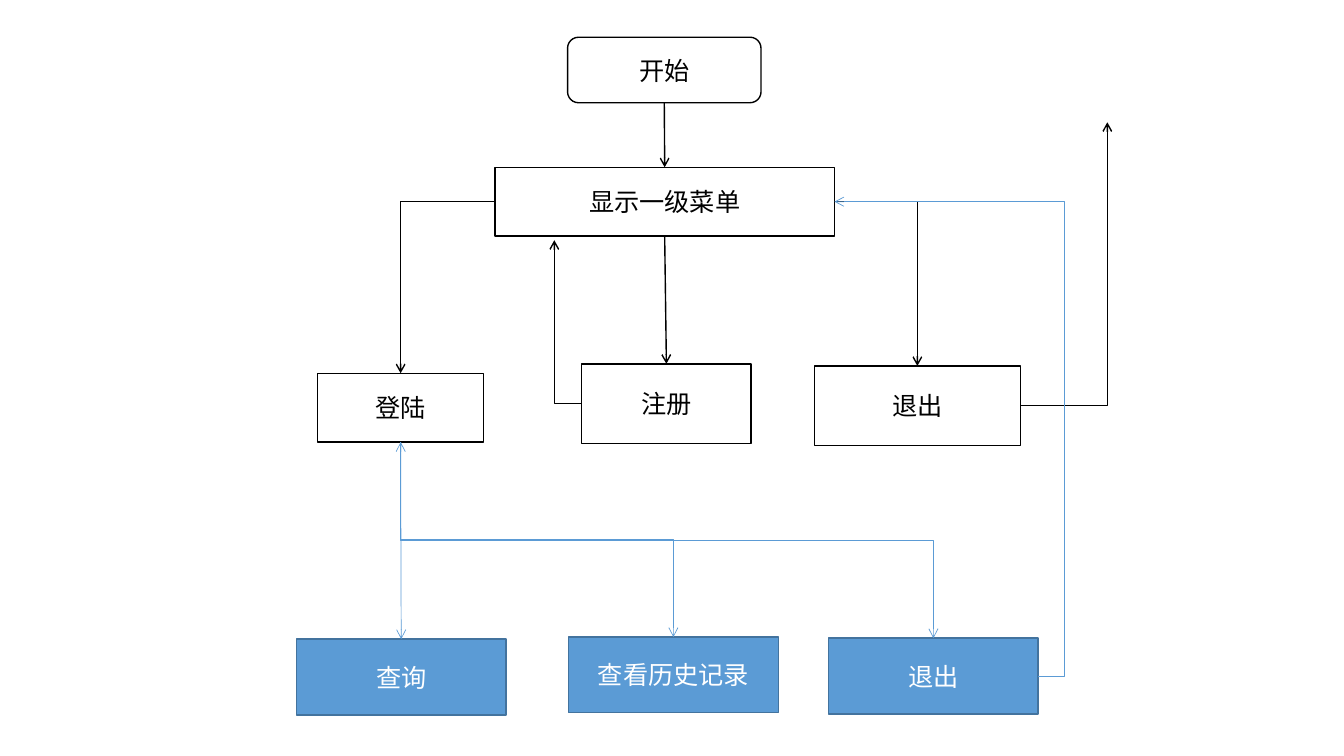
from collections import namedtuple

from lxml.etree import SubElement
from pptx import Presentation
from pptx.dml.color import RGBColor
from pptx.enum.shapes import MSO_CONNECTOR, MSO_SHAPE
from pptx.enum.text import MSO_ANCHOR, PP_ALIGN
from pptx.oxml.ns import qn
from pptx.util import Pt

COLORS = {
    "white": "FFFFFF",
    "black": "000000",
    "blue": "5B9BD5",
    "blue_edge": "43739E",
}
TOP, LEFT, BOTTOM, RIGHT = range(4)
Box = namedtuple("Box", "left top width height")
Style = namedtuple("Style", "fill edge text")
PLAIN = Style("white", "black", "black")
FILLED = Style("blue", "blue_edge", "white")
FONT = {"name": "Calibri", "size": Pt(18)}


def color(name):
    return RGBColor.from_string(COLORS[name])


def add_step(page, box, text, style=PLAIN, kind=MSO_SHAPE.RECTANGLE):
    """Draw one labelled step of the flow."""
    step = page.shapes.add_shape(kind, *(Pt(length) for length in box))
    step.shadow.inherit = False
    step.fill.solid()
    step.fill.fore_color.rgb = color(style.fill)
    step.line.color.rgb = color(style.edge)
    step.line.width = Pt(1)
    step.text_frame.vertical_anchor = MSO_ANCHOR.MIDDLE
    para = step.text_frame.paragraphs[0]
    para.alignment = PP_ALIGN.CENTER
    span = para.add_run()
    span.text = text
    for name, value in FONT.items():
        setattr(span.font, name, value)
    span.font.color.rgb = color(style.text)
    return step


def side(step, index):
    """Return the middle of one side of a step."""
    middle_x = step.left + step.width // 2
    middle_y = step.top + step.height // 2
    return {
        TOP: (middle_x, step.top),
        LEFT: (step.left, middle_y),
        BOTTOM: (middle_x, step.top + step.height),
        RIGHT: (step.left + step.width, middle_y),
    }[index]


def add_arrow(page, kind, start, end, line_color, width, ends=("tailEnd",)):
    arrow = page.shapes.add_connector(kind, *start, *end)
    arrow.line.color.rgb = color(line_color)
    arrow.line.width = Pt(width)
    line = arrow.line._get_or_add_ln()
    for name in ends:
        SubElement(line, qn(f"a:{name}"), type="arrow")
    SubElement(arrow._element.spPr, qn("a:effectLst"))
    return arrow


def add_drop(page, upper, lower, line_color="black", width=1):
    """Join two steps, one below the other, with a straight arrow."""
    arrow = add_arrow(page, MSO_CONNECTOR.STRAIGHT, side(upper, BOTTOM),
                      side(lower, TOP), line_color, width)
    arrow.begin_connect(upper, BOTTOM)
    arrow.end_connect(lower, TOP)


def add_corner(page, start, end):
    """Draw an arrow that runs sideways, then turns once."""
    arrow = add_arrow(page, MSO_CONNECTOR.ELBOW, start, end, "black", 1)
    arrow._element.spPr.find(qn("a:prstGeom")).set("prst", "bentConnector2")


def add_branch(page, start, end, ends):
    """Draw an arrow that runs down, across and down again."""
    (x1, y1), (x2, y2) = start, end
    middle_x, middle_y = (x1 + x2) // 2, (y1 + y2) // 2
    half_run, half_drop = (x2 - x1) // 2, (y2 - y1) // 2
    arrow = add_arrow(page, MSO_CONNECTOR.ELBOW,
                      (middle_x - half_drop, middle_y + half_run),
                      (middle_x + half_drop, middle_y - half_run),
                      "blue", 0.5, ends)
    arrow._element.spPr.find(qn("a:xfrm")).set("rot", str(90 * 60000))


def add_return(page, start, end, overhang):
    """Draw an arrow that leaves to the right and comes back to the left."""
    arrow = add_arrow(page, MSO_CONNECTOR.ELBOW, start, end, "blue", 0.5)
    bend = round(-100000 * overhang / (start[0] - end[0]))
    geometry = arrow._element.spPr.find(qn("a:prstGeom"))
    SubElement(geometry.find(qn("a:avLst")), qn("a:gd"),
               name="adj1", fmla=f"val {bend}")


def add_main_menu(page, box):
    """Place the upper flow and return its menu and login steps."""
    def place(left, top, width, height):
        return Box(box.left + left, box.top + top, width, height)

    start = add_step(page, place(178.6, 0, 138.2, 46.8), "开始",
                     kind=MSO_SHAPE.ROUNDED_RECTANGLE)
    menu = add_step(page, place(126.7, 92.9, 242.6, 49.2), "显示一级菜单")
    login = add_step(page, place(0, 240, 118.8, 49.2), "登陆")
    register = add_step(page, place(188.6, 233.3, 121.2, 56.9), "注册")
    leave = add_step(page, place(355, 234.8, 147, 56.9), "退出")

    add_drop(page, start, menu)
    add_drop(page, menu, register)
    add_corner(page, side(menu, LEFT), side(login, TOP))
    add_corner(page, side(menu, RIGHT), side(leave, TOP))
    add_corner(page, side(leave, RIGHT),
               (Pt(box.left + box.width), Pt(box.top + 60.8)))
    add_corner(page, side(register, LEFT),
               (Pt(box.left + 169.2), Pt(box.top + 145)))
    return menu, login


def add_user_menu(page, box, menu, login):
    """Place the row of steps after login and link it to the upper flow."""
    steps = [
        add_step(page, Box(box.left + left, box.top + top, 149.8, 54.2),
                 text, FILLED)
        for left, top, text in [(0, 1.5, "查询"), (194.4, 0, "查看历史记录"),
                                (380.1, 0.8, "退出")]
    ]
    query, history, leave = steps
    add_drop(page, login, query, "blue", 0.5)
    for step, ends in [(history, ("tailEnd",)),
                       (leave, ("headEnd", "tailEnd"))]:
        add_branch(page, side(login, BOTTOM), side(step, TOP), ends)
    add_return(page, side(leave, RIGHT), side(menu, RIGHT), Pt(18.8))


def main():
    deck = Presentation()
    deck.slide_width, deck.slide_height = Pt(960), Pt(540)
    page = deck.slides.add_slide(deck.slide_layouts[6])
    menu, login = add_main_menu(page, Box(226.8, 26.6, 564.2, 291.7))
    add_user_menu(page, Box(211.7, 455, 529.9, 55.7), menu, login)
    deck.save("out.pptx")


if __name__ == "__main__":
    main()
